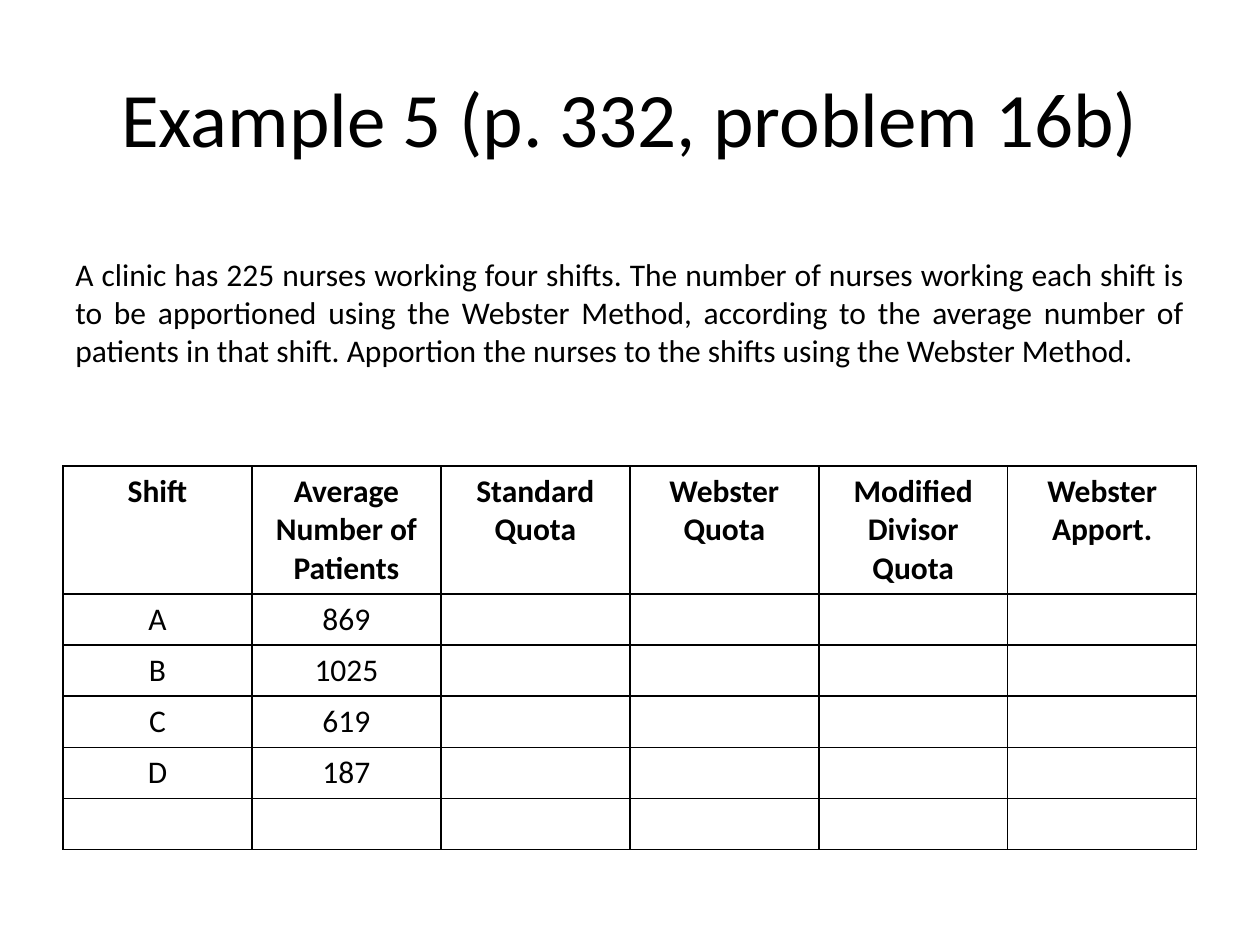
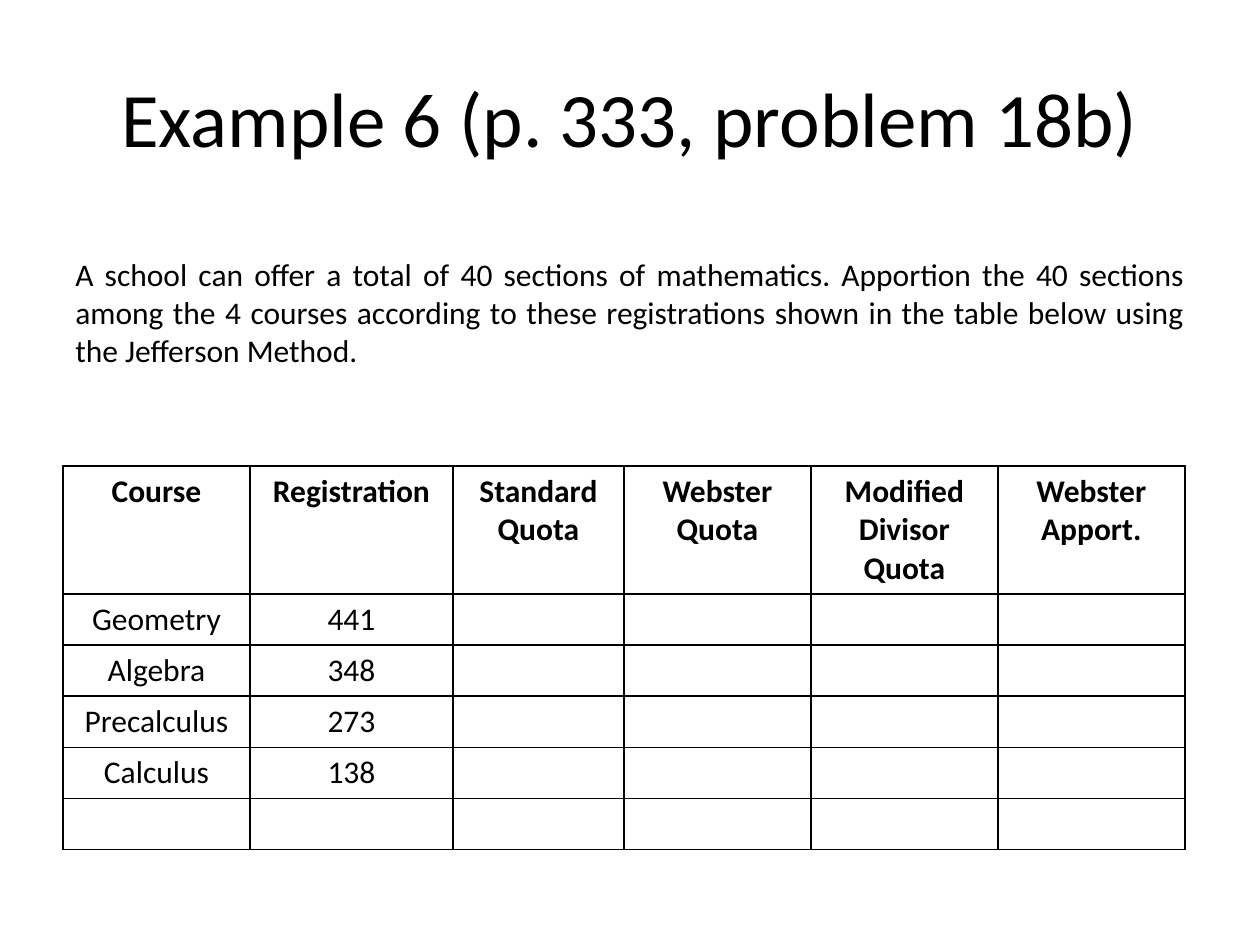
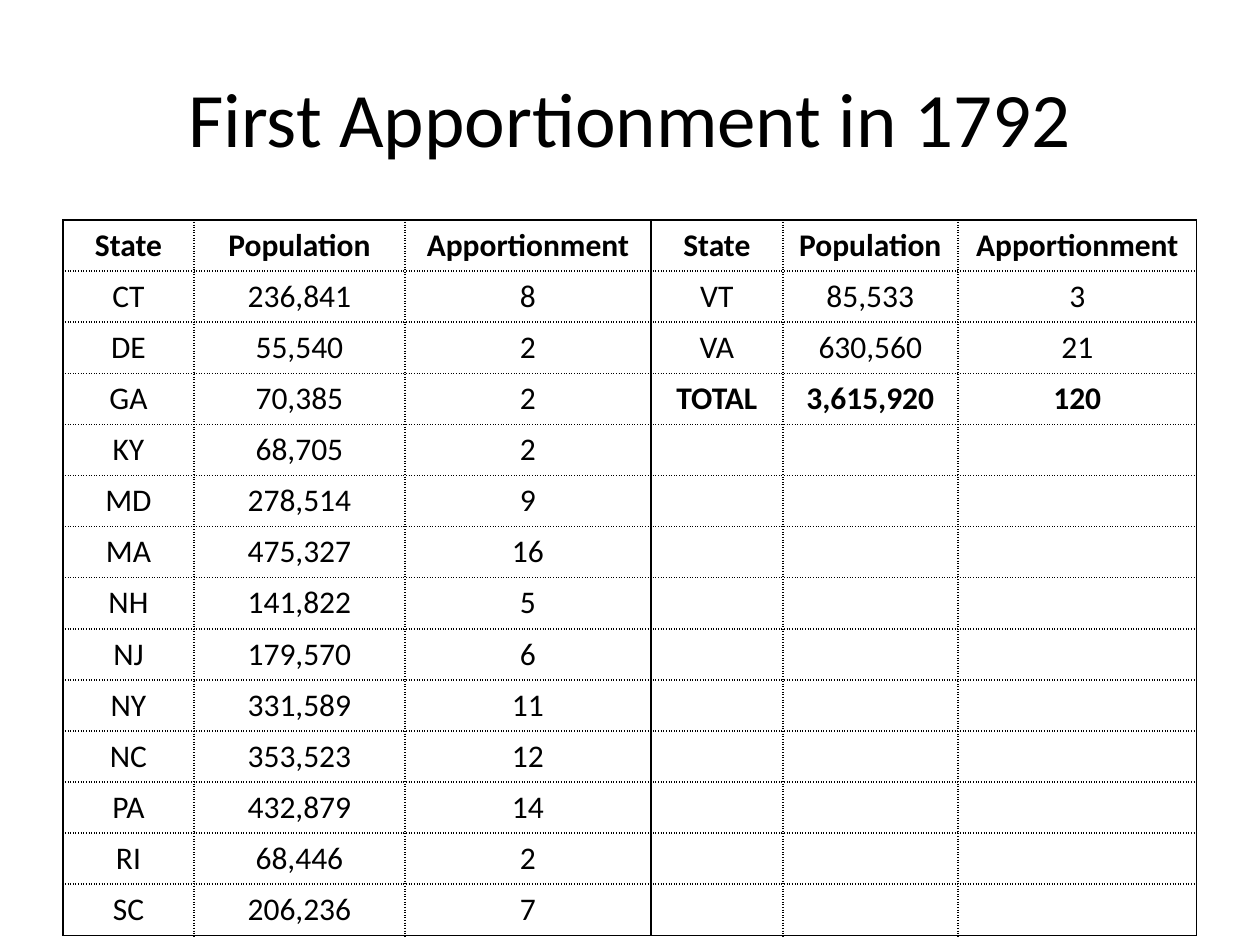
from dataclasses import dataclass
from itertools import zip_longest

from lxml.etree import SubElement
from pptx import Presentation
from pptx.dml.color import RGBColor
from pptx.enum.text import MSO_ANCHOR, PP_ALIGN
from pptx.oxml.ns import qn
from pptx.slide import Slide
from pptx.table import _Cell
from pptx.util import Pt

SCALE = 914400 // 126


@dataclass(frozen=True)
class Theme:
    font: str = "Calibri"
    ink: str = "000000"
    title: int = 44
    body: int = 18
    rule: int = 1


@dataclass(frozen=True)
class Box:
    left: int
    top: int
    width: int
    height: int

    def emu(self) -> tuple[int, ...]:
        return tuple(px(n) for n in (self.left, self.top, self.width, self.height))


@dataclass(frozen=True)
class Grid:
    """A table; dotted ones have solid lines only around each group of columns."""
    top: int
    widths: tuple[int, ...]
    rows: list[tuple[str, ...]]
    head: int
    dotted: bool = False


@dataclass(frozen=True)
class Page:
    title: str
    grid: Grid
    task: str = ""


THEME = Theme()
MARGIN = 63
WIDTH = 1134
ROW = 51
GROUP = 3
TITLE = Box(MARGIN, 38, WIDTH, 158)
TASK = Box(MARGIN, 249, WIDTH, 127)

QUOTAS = ("Standard Quota", "Webster Quota", "Modified Divisor Quota", "Webster Apport.")
BLANK = ("",) * len(QUOTAS)
HEADS = ("State", "Population", "Apportionment")
TOTAL = "TOTAL"
STATES = [
    ("CT", "236,841", "8"),
    ("DE", "55,540", "2"),
    ("GA", "70,385", "2"),
    ("KY", "68,705", "2"),
    ("MD", "278,514", "9"),
    ("MA", "475,327", "16"),
    ("NH", "141,822", "5"),
    ("NJ", "179,570", "6"),
    ("NY", "331,589", "11"),
    ("NC", "353,523", "12"),
    ("PA", "432,879", "14"),
    ("RI", "68,446", "2"),
    ("SC", "206,236", "7"),
    ("VT", "85,533", "3"),
    ("VA", "630,560", "21"),
    (TOTAL, "3,615,920", "120"),
]


def px(count: int) -> int:
    return count * SCALE


def quota(name: str, count: str, data: list[tuple[str, str]],
          widths: tuple[int, ...]) -> Grid:
    """Worksheet with empty quota columns and an empty last row."""
    pairs = [*data, ("", "")]
    rows = [(name, count, *QUOTAS), *(pair + BLANK for pair in pairs)]
    return Grid(466, widths, rows, 128)


def census() -> Grid:
    """States in two blocks of columns, side by side."""
    half = 13
    pairs = zip_longest(STATES[:half], STATES[half:], fillvalue=("",) * GROUP)
    rows = [HEADS + HEADS, *(left + right for left, right in pairs)]
    return Grid(220, (131, 211, 246, 132, 175, 239), rows, ROW, dotted=True)


def style(para, size: int, align: PP_ALIGN, bold: bool = False) -> None:
    para.alignment = align
    font = para.font
    font.name, font.size, font.bold = THEME.font, Pt(size), bold
    font.color.rgb = RGBColor.from_string(THEME.ink)


def edge(cell: _Cell, side: str, solid: bool) -> None:
    line = SubElement(cell._tc.get_or_add_tcPr(), qn(f"a:ln{side}"),
                      w=str(Pt(THEME.rule)))
    fill = SubElement(line, qn("a:solidFill"))
    SubElement(fill, qn("a:srgbClr"), val=THEME.ink)
    SubElement(line, qn("a:prstDash"), val="solid" if solid else "dot")


def draw_grid(slide: Slide, grid: Grid) -> None:
    count, span = len(grid.rows), len(grid.widths)
    box = Box(MARGIN, grid.top, sum(grid.widths), grid.head + ROW * (count - 1))
    table = slide.shapes.add_table(count, span, *box.emu()).table
    table.first_row = table.horz_banding = False
    for col, width in zip(table.columns, grid.widths):
        col.width = px(width)
    for r, texts in enumerate(grid.rows):
        table.rows[r].height = px(ROW if r else grid.head)
        for c, text in enumerate(texts):
            cell = table.cell(r, c)
            cell.text = text
            bold = r == 0 or texts[c - c % GROUP] == TOTAL
            style(cell.text_frame.paragraphs[0], THEME.body, PP_ALIGN.CENTER, bold)
            outer = {"L": c % GROUP == 0, "R": (c + 1) % GROUP == 0,
                     "T": r == 0, "B": r == count - 1}
            for side, solid in outer.items():
                edge(cell, side, solid or not grid.dotted)
            cell.fill.background()


def draw_title(slide: Slide, text: str) -> None:
    title = slide.shapes.title
    title.left, title.top, title.width, title.height = TITLE.emu()
    title.text_frame.text = text
    title.text_frame.vertical_anchor = MSO_ANCHOR.MIDDLE
    style(title.text_frame.paragraphs[0], THEME.title, PP_ALIGN.CENTER)


def draw_task(slide: Slide, text: str) -> None:
    frame = slide.shapes.add_textbox(*TASK.emu()).text_frame
    frame.word_wrap = True
    frame.text = text
    style(frame.paragraphs[0], THEME.body, PP_ALIGN.JUSTIFY)


PAGES = [
    Page(
        "Example 5 (p. 332, problem 16b)",
        quota("Shift", "Average Number of Patients",
              [("A", "869"), ("B", "1025"), ("C", "619"), ("D", "187")],
              (189,) * 6),
        "A clinic has 225 nurses working four shifts. The number of nurses working "
        "each shift is to be apportioned using the Webster Method, according to the "
        "average number of patients in that shift. Apportion the nurses to the "
        "shifts using the Webster Method.",
    ),
    Page(
        "Example 6 (p. 333, problem 18b)",
        quota("Course", "Registration",
              [("Geometry", "441"), ("Algebra", "348"),
               ("Precalculus", "273"), ("Calculus", "138")],
              (187, 203, 171, 187, 187, 187)),
        "A school can offer a total of 40 sections of mathematics. Apportion the 40 "
        "sections among the 4 courses according to these registrations shown in the "
        "table below using the Jefferson Method.",
    ),
    Page("First Apportionment in 1792", census()),
]


def main() -> None:
    deck = Presentation()
    deck.slide_width, deck.slide_height = px(1260), px(945)
    for page in PAGES:
        slide = deck.slides.add_slide(deck.slide_layouts.get_by_name("Title Only"))
        draw_title(slide, page.title)
        draw_grid(slide, page.grid)
        if page.task:
            draw_task(slide, page.task)
    deck.save("out.pptx")


if __name__ == "__main__":
    main()
